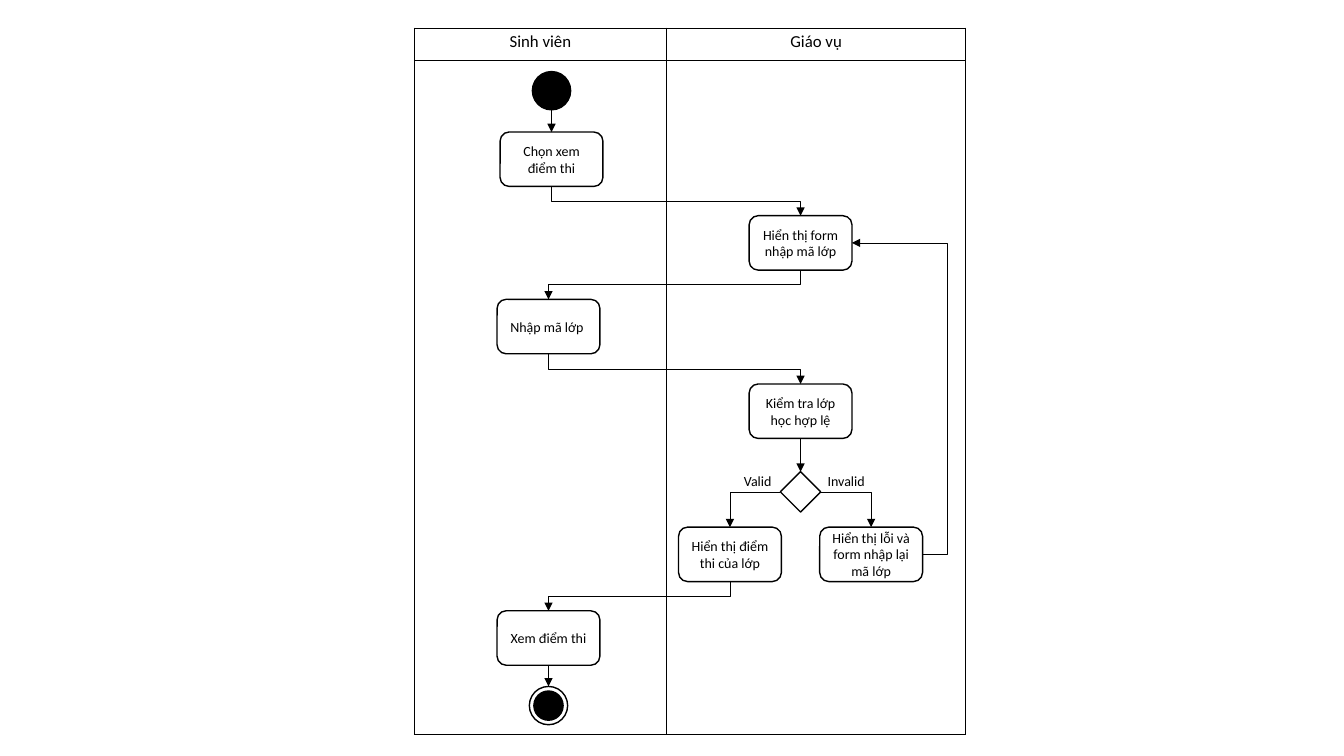
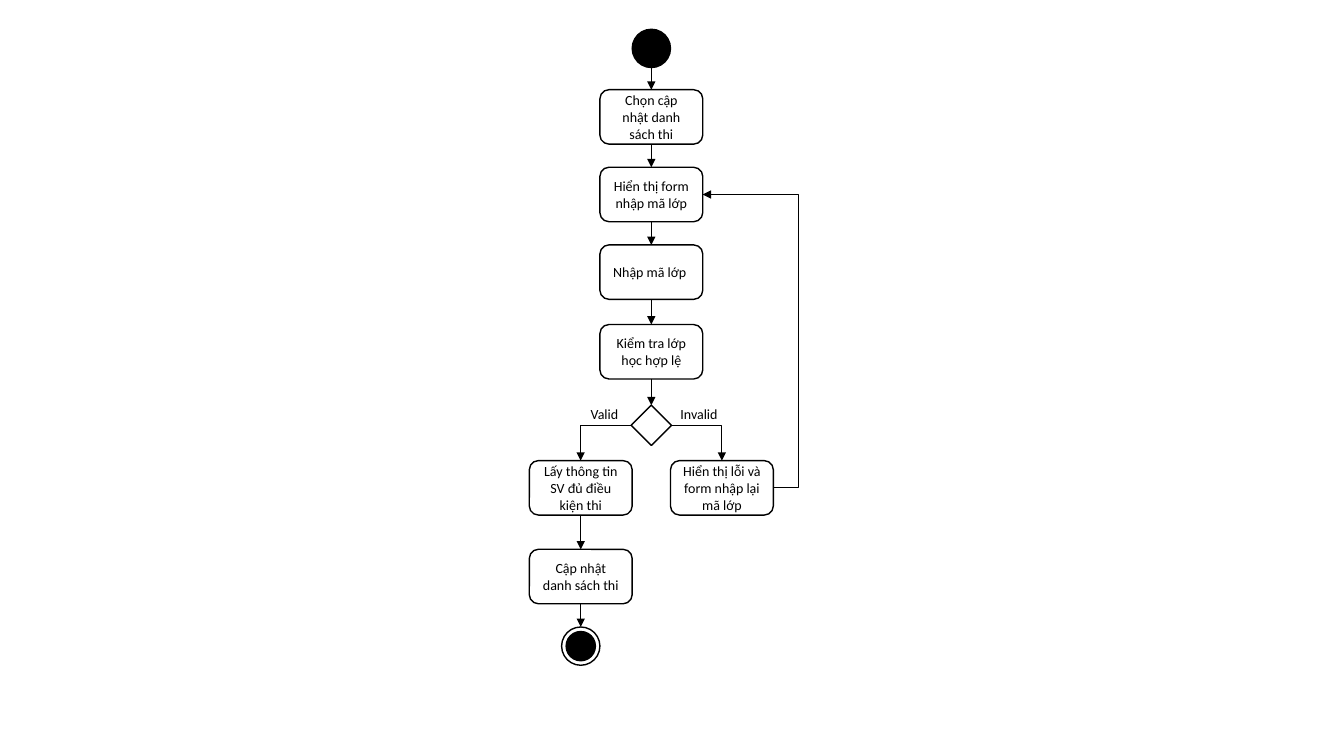
from dataclasses import dataclass
from enum import IntEnum

from pptx import Presentation
from pptx.dml.color import RGBColor
from pptx.enum.dml import MSO_THEME_COLOR
from pptx.enum.shapes import MSO_CONNECTOR, MSO_SHAPE
from pptx.enum.text import MSO_ANCHOR, MSO_AUTO_SIZE, PP_ALIGN
from pptx.oxml.ns import qn
from pptx.oxml.xmlchemy import OxmlElement
from pptx.shapes.autoshape import Shape
from pptx.shapes.connector import Connector
from pptx.slide import Slide
from pptx.table import _Cell
from pptx.text.text import TextFrame
from pptx.util import Inches, Length, Pt

BLACK = RGBColor(0x00, 0x00, 0x00)
WHITE = RGBColor(0xFF, 0xFF, 0xFF)
FONT = "Calibri"
BODY_SIZE = Pt(10)
HEADER_SIZE = Pt(12)
OUTLINE = Pt(1)
ARROW_WIDTH = Pt(0.5)
OVAL = MSO_SHAPE.OVAL
DIAMOND = MSO_SHAPE.DIAMOND
ROUNDED = MSO_SHAPE.ROUNDED_RECTANGLE
STRAIGHT = MSO_CONNECTOR.STRAIGHT
ELBOW = MSO_CONNECTOR.ELBOW
CENTER = PP_ALIGN.CENTER
LEFT_ALIGNED = PP_ALIGN.LEFT
MIDDLE = MSO_ANCHOR.MIDDLE
FIT_SHAPE = MSO_AUTO_SIZE.SHAPE_TO_FIT_TEXT

STEP_WIDTH, STEP_HEIGHT = 1.02, 0.54
CIRCLE, CORE, DECISION = 0.38, 0.29, 0.4
BRANCH = 0.7
LOOP_REACH = Inches(0.25)


class Side(IntEnum):
    TOP = 0
    LEFT = 1
    BOTTOM = 2
    RIGHT = 3


@dataclass(frozen=True)
class Step:
    name: str
    text: str
    center: float
    top: float


@dataclass(frozen=True)
class Label:
    text: str
    left: float
    top: float


@dataclass(frozen=True)
class Link:
    start: str
    end: str
    leave: Side = Side.BOTTOM
    enter: Side = Side.TOP


@dataclass(frozen=True)
class Activity:
    steps: list[Step]
    labels: list[Label]
    start: tuple[float, float]
    decision: tuple[float, float]
    finish: tuple[float, float]
    chain: list[str]


SHARED_LINKS = [
    Link("decision", "valid", Side.LEFT),
    Link("decision", "invalid", Side.RIGHT),
    Link("invalid", "form", Side.RIGHT, Side.RIGHT),
]
RETRY_TEXT = "Hiển thị lỗi và form nhập lại mã lớp"
FORM_TEXT = "Hiển thị form nhập mã lớp"
ENTER_TEXT = "Nhập mã lớp "
CHECK_TEXT = "Kiểm tra lớp học hợp lệ"

STUDENT, STAFF, MAIN = 5.44, 7.94, 6.46
VIEW_SCORES = Activity(
    steps=[
        Step("choose", "Chọn xem điểm thi", 5.47, 1.31),
        Step("form", FORM_TEXT, STAFF, 2.14),
        Step("enter", ENTER_TEXT, STUDENT, 2.97),
        Step("check", CHECK_TEXT, STAFF, 3.81),
        Step("valid", "Hiển thị điểm thi của lớp", STAFF - BRANCH, 5.23),
        Step("invalid", RETRY_TEXT, STAFF + BRANCH, 5.23),
        Step("result", "Xem điểm thi", STUDENT, 6.06),
    ],
    labels=[Label("Valid", 7.28, 4.64), Label("Invalid", 8.11, 4.64)],
    start=(5.47, 0.71),
    decision=(STAFF, 4.68),
    finish=(STUDENT, 6.81),
    chain=["start", "choose", "form", "enter", "check", "decision"],
)
UPDATE_LIST = Activity(
    steps=[
        Step("choose", "Chọn cập nhật danh sách thi", MAIN, 0.89),
        Step("form", FORM_TEXT, MAIN, 1.66),
        Step("enter", ENTER_TEXT, MAIN, 2.43),
        Step("check", CHECK_TEXT, MAIN, 3.22),
        Step("valid", "Lấy thông tin SV đủ điều kiện thi", MAIN - BRANCH, 4.57),
        Step("invalid", RETRY_TEXT, MAIN + BRANCH, 4.57),
        Step("result", "Cập nhật danh sách thi", MAIN - BRANCH, 5.45),
    ],
    labels=[Label("Valid", 5.76, 3.97), Label("Invalid", 6.65, 3.97)],
    start=(MAIN, 0.29),
    decision=(MAIN, 4.02),
    finish=(MAIN - BRANCH, 6.22),
    chain=["start", "choose", "form", "enter", "check", "decision"],
)


def write(frame: TextFrame, text: str, size: Length, align: PP_ALIGN) -> None:
    frame.text = text
    para = frame.paragraphs[0]
    para.alignment = align
    for span in para.runs:
        span.font.name = FONT
        span.font.size = size
        span.font.color.rgb = BLACK


def add_node(slide: Slide, kind: MSO_SHAPE, center: float, top: float,
             width: float, height: float, fill: RGBColor = WHITE) -> Shape:
    shape = slide.shapes.add_shape(
        kind, Inches(center - width / 2), Inches(top), Inches(width), Inches(height))
    shape.shadow.inherit = False
    shape.fill.solid()
    shape.fill.fore_color.rgb = fill
    shape.line.color.rgb = BLACK
    shape.line.width = OUTLINE
    return shape


def add_step(slide: Slide, step: Step) -> Shape:
    box = add_node(slide, ROUNDED, step.center, step.top, STEP_WIDTH, STEP_HEIGHT)
    box.text_frame.word_wrap = True
    box.text_frame.vertical_anchor = MIDDLE
    write(box.text_frame, step.text, BODY_SIZE, CENTER)
    return box


def add_label(slide: Slide, label: Label) -> None:
    box = slide.shapes.add_textbox(
        Inches(label.left), Inches(label.top), Inches(0.62), Inches(0.27))
    box.text_frame.word_wrap = True
    box.text_frame.auto_size = FIT_SHAPE
    write(box.text_frame, label.text, BODY_SIZE, LEFT_ALIGNED)


def side_point(shape: Shape, side: Side) -> tuple[int, int]:
    middle_x = shape.left + shape.width // 2
    middle_y = shape.top + shape.height // 2
    return {
        Side.TOP: (middle_x, shape.top),
        Side.LEFT: (shape.left, middle_y),
        Side.BOTTOM: (middle_x, shape.top + shape.height),
        Side.RIGHT: (shape.left + shape.width, middle_y),
    }[side]


def style_arrow(arrow: Connector) -> None:
    arrow.line.color.rgb = BLACK
    arrow.line.width = ARROW_WIDTH
    tail = OxmlElement("a:tailEnd")
    tail.set("type", "triangle")
    arrow.line._get_or_add_ln().append(tail)
    arrow._element.spPr.append(OxmlElement("a:effectLst"))


def turn_downward(arrow: Connector, begin: tuple[int, int], end: tuple[int, int]) -> None:
    across, down = abs(end[0] - begin[0]), abs(end[1] - begin[1])
    arrow.left = Length((begin[0] + end[0] - down) // 2)
    arrow.top = Length((begin[1] + end[1] - across) // 2)
    arrow.width, arrow.height = Length(down), Length(across)
    frame = arrow._element.spPr.find(qn("a:xfrm"))
    rightward = end[0] > begin[0]
    frame.set("rot", str((270 if rightward else 90) * 60000))
    frame.set("flipH", "1" if rightward else "0")
    frame.set("flipV", "0")


def set_loop_reach(arrow: Connector) -> None:
    geometry = arrow._element.spPr.find(qn("a:prstGeom"))
    guides = geometry.find(qn("a:avLst"))
    if guides is None:
        guides = OxmlElement("a:avLst")
        geometry.append(guides)
    guide = OxmlElement("a:gd")
    guide.set("name", "adj1")
    guide.set("fmla", f"val {-round(LOOP_REACH / arrow.width * 100000)}")
    guides.append(guide)


def add_link(slide: Slide, link: Link, nodes: dict[str, Shape]) -> None:
    source, target = nodes[link.start], nodes[link.end]
    begin, end = side_point(source, link.leave), side_point(target, link.enter)
    vertical = link.leave == Side.BOTTOM
    straight = vertical and abs(begin[0] - end[0]) < Pt(1)
    arrow = slide.shapes.add_connector(STRAIGHT if straight else ELBOW, *begin, *end)
    if source.auto_shape_type != OVAL:
        arrow.begin_connect(source, int(link.leave))
    arrow.end_connect(target, int(link.enter))
    style_arrow(arrow)
    if straight:
        return
    if vertical:
        turn_downward(arrow, begin, end)
    elif link.enter == Side.TOP:
        arrow._element.spPr.find(qn("a:prstGeom")).set("prst", "bentConnector2")
    else:
        set_loop_reach(arrow)


def set_borders(cell: _Cell) -> None:
    properties = cell._tc.get_or_add_tcPr()
    for tag in ("a:lnL", "a:lnR", "a:lnT", "a:lnB"):
        border = OxmlElement(tag)
        border.set("w", str(int(OUTLINE)))
        fill = OxmlElement("a:solidFill")
        color = OxmlElement("a:srgbClr")
        color.set("val", str(BLACK))
        fill.append(color)
        border.append(fill)
        properties.append(border)


def add_lanes(slide: Slide, headings: list[str]) -> None:
    table = slide.shapes.add_table(
        2, 2, Inches(4.11), Inches(0.28), Inches(5.47), Inches(7.01)).table
    table.first_row = False
    table.horz_banding = False
    for column, width in zip(table.columns, (2.5, 2.97)):
        column.width = Inches(width)
    for row, height in zip(table.rows, (0.32, 6.69)):
        row.height = Inches(height)
    for cell in table.iter_cells():
        set_borders(cell)
        cell.fill.background()
        cell.margin_left = cell.margin_right = Inches(0.06)
        cell.margin_top = cell.margin_bottom = Inches(0.03)
    for index, heading in enumerate(headings):
        write(table.cell(0, index).text_frame, heading, HEADER_SIZE, CENTER)


def add_activity(slide: Slide, activity: Activity) -> None:
    nodes = {step.name: add_step(slide, step) for step in activity.steps}
    nodes["start"] = add_node(slide, OVAL, *activity.start, CIRCLE, CIRCLE, BLACK)
    nodes["decision"] = add_node(slide, DIAMOND, *activity.decision, DECISION, DECISION)
    nodes["finish"] = add_node(slide, OVAL, *activity.finish, CIRCLE, CIRCLE)
    center, top = activity.finish
    add_node(slide, OVAL, center, top + (CIRCLE - CORE) / 2, CORE, CORE, BLACK)
    links = [Link(*pair) for pair in zip(activity.chain, activity.chain[1:])]
    links += [Link("valid", "result"), Link("result", "finish")]
    for link in links + SHARED_LINKS:
        add_link(slide, link, nodes)
    for label in activity.labels:
        add_label(slide, label)


def add_page(deck: Presentation) -> Slide:
    page = deck.slides.add_slide(deck.slide_layouts[6])
    page.background.fill.solid()
    page.background.fill.fore_color.theme_color = MSO_THEME_COLOR.BACKGROUND_1
    return page


def main() -> None:
    deck = Presentation()
    deck.slide_width, deck.slide_height = Inches(13.33), Inches(7.5)
    scores_page = add_page(deck)
    add_lanes(scores_page, ["Sinh viên", "Giáo vụ"])
    add_activity(scores_page, VIEW_SCORES)
    add_activity(add_page(deck), UPDATE_LIST)
    deck.save("out.pptx")


if __name__ == "__main__":
    main()
